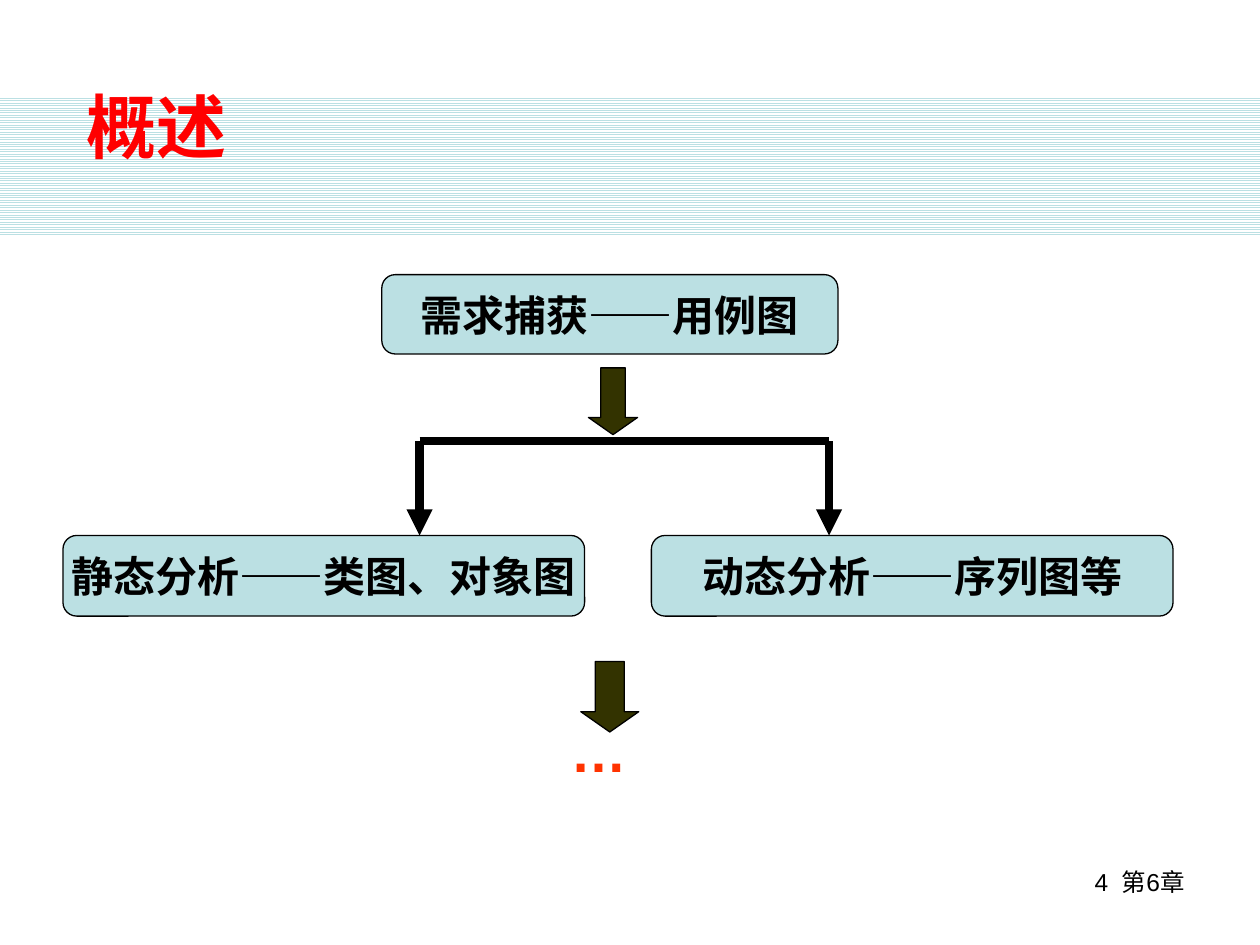
from dataclasses import dataclass

from lxml import etree
from pptx import Presentation
from pptx.dml.color import RGBColor
from pptx.enum.dml import MSO_PATTERN
from pptx.enum.shapes import MSO_CONNECTOR, MSO_SHAPE
from pptx.enum.text import MSO_ANCHOR, PP_ALIGN
from pptx.oxml.ns import qn
from pptx.util import Inches, Pt

RECT = MSO_SHAPE.RECTANGLE
ROUNDED = MSO_SHAPE.ROUNDED_RECTANGLE
DOWN_ARROW = MSO_SHAPE.DOWN_ARROW
STRAIGHT = MSO_CONNECTOR.STRAIGHT
STRIPES = MSO_PATTERN.LIGHT_HORIZONTAL
LEFT, CENTER, RIGHT = PP_ALIGN.LEFT, PP_ALIGN.CENTER, PP_ALIGN.RIGHT
TOP, MIDDLE, BOTTOM = MSO_ANCHOR.TOP, MSO_ANCHOR.MIDDLE, MSO_ANCHOR.BOTTOM


@dataclass(frozen=True)
class Theme:
    black: RGBColor = RGBColor(0, 0, 0)
    white: RGBColor = RGBColor(255, 255, 255)
    pale_blue: RGBColor = RGBColor(0xBB, 0xE0, 0xE3)
    olive: RGBColor = RGBColor(0x33, 0x33, 0)
    red: RGBColor = RGBColor(255, 0, 0)
    orange: RGBColor = RGBColor(255, 0x33, 0)
    font: str = "Arial"
    box_font: str = "DejaVu Sans"
    title_size: Pt = Pt(40)
    more_size: Pt = Pt(32)
    box_size: Pt = Pt(24)
    footer_size: Pt = Pt(14)
    outline: Pt = Pt(0.75)
    branch: Pt = Pt(5)


THEME = Theme()


def set_text(sp, text, size, color, font=THEME.font, bold=True,
             align=LEFT, anchor=TOP, wrap=True):
    tf = sp.text_frame
    tf.word_wrap = wrap
    tf.vertical_anchor = anchor
    p = tf.paragraphs[0]
    p.text = text
    p.alignment = align
    p.font.name = font
    p.font.size = size
    p.font.bold = bold
    p.font.color.rgb = color


def add_text(s, at, text, size, color, **style):
    sp = s.shapes.add_textbox(*map(Inches, at))
    set_text(sp, text, size, color, **style)


def add_outlined(s, kind, at, fill, adjustments):
    sp = s.shapes.add_shape(kind, *map(Inches, at))
    sp.shadow.inherit = False
    sp.fill.solid()
    sp.fill.fore_color.rgb = fill
    sp.line.color.rgb = THEME.black
    sp.line.width = THEME.outline
    for i, value in enumerate(adjustments):
        sp.adjustments[i] = value
    return sp


def add_step(s, at, text):
    sp = add_outlined(s, ROUNDED, at, THEME.pale_blue, [0.17])
    set_text(sp, text, THEME.box_size, THEME.black, font=THEME.box_font,
             align=CENTER, anchor=MIDDLE, wrap=False)


def add_down_arrow(s, at):
    add_outlined(s, DOWN_ARROW, at, THEME.olive, [0.5, 0.35])


def add_branch(s, start, end, arrow=False):
    line = s.shapes.add_connector(STRAIGHT, *map(Inches, start + end))
    line.line.color.rgb = THEME.black
    line.line.width = THEME.branch
    if arrow:
        etree.SubElement(line.line._get_or_add_ln(), qn("a:tailEnd"), type="triangle")
    etree.SubElement(line._element.spPr, qn("a:effectLst"))


def add_striped_band(s, at):
    sp = s.shapes.add_shape(RECT, *map(Inches, at))
    sp.shadow.inherit = False
    sp.fill.patterned()
    sp.fill.pattern = STRIPES
    sp.fill.fore_color.rgb = THEME.pale_blue
    sp.fill.back_color.rgb = THEME.white
    sp.line.fill.background()


def add_fork(s, left, right, top, bottom):
    """Draw a bar with an arrow going down from each end."""
    add_branch(s, (left, top), (right, top))
    for x in (left, right):
        add_branch(s, (x, top), (x, bottom), arrow=True)


def main():
    prs = Presentation()
    prs.slide_width, prs.slide_height = Inches(10), Inches(7.5)
    s = prs.slides.add_slide(prs.slide_layouts[6])

    add_striped_band(s, (0, 0.76, 10, 1.1))
    add_text(s, (7.17, 6.83, 2.33, 0.5), "4  第6章", THEME.footer_size,
             THEME.black, bold=False, align=RIGHT)
    add_text(s, (0.59, 0.5, 8.51, 0.88), "概述", THEME.title_size,
             THEME.red, anchor=BOTTOM)

    analysis_top = 4.25
    add_step(s, (3.03, 2.18, 3.62, 0.63), "需求捕获——用例图")
    for left, text in ((0.5, "静态分析——类图、对象图"), (5.17, "动态分析——序列图等")):
        add_step(s, (left, analysis_top, 4.14, 0.64), text)

    add_down_arrow(s, (4.67, 2.92, 0.39, 0.53))
    add_fork(s, 3.33, 6.58, 3.5, analysis_top)
    add_down_arrow(s, (4.61, 5.25, 0.46, 0.56))
    add_text(s, (4.43, 5.64, 1.65, 0.63), "…", THEME.more_size, THEME.orange)

    prs.save("out.pptx")


if __name__ == "__main__":
    main()
